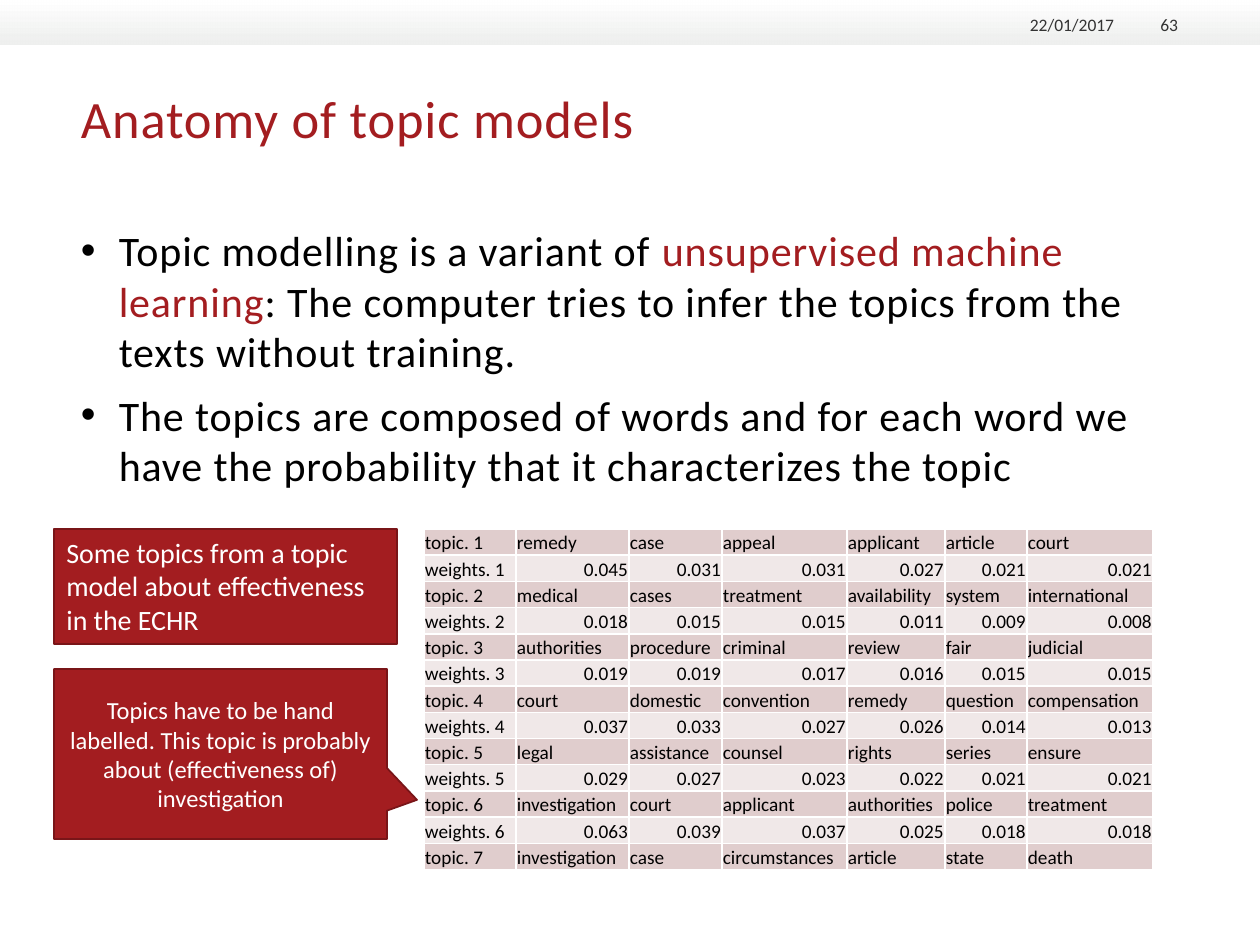
from lxml import etree
from pptx import Presentation, util as u
from pptx.dml.color import RGBColor
from pptx.enum import shapes, text
from pptx.oxml.ns import qn

FONT = "Calibri"
RED, DARK_RED, WHITE, BLACK, GREY = "A31D20", "791518", "FFFFFF", "000000", "333333"
TOPIC_FILL, WEIGHT_FILL = "E0CDCD", "F0E8E8"
LEFT, RIGHT = text.PP_ALIGN.LEFT, text.PP_ALIGN.RIGHT

COLUMNS = [92, 113, 93, 125, 98, 82, 126]
TOPICS = [
    ("remedy case appeal applicant article court",
     "0.045 0.031 0.031 0.027 0.021 0.021"),
    ("medical cases treatment availability system international",
     "0.018 0.015 0.015 0.011 0.009 0.008"),
    ("authorities procedure criminal review fair judicial",
     "0.019 0.019 0.017 0.016 0.015 0.015"),
    ("court domestic convention remedy question compensation",
     "0.037 0.033 0.027 0.026 0.014 0.013"),
    ("legal assistance counsel rights series ensure",
     "0.029 0.027 0.023 0.022 0.021 0.021"),
    ("investigation court applicant authorities police treatment",
     "0.063 0.039 0.037 0.025 0.018 0.018"),
    ("investigation case circumstances article state death", ""),
]
BULLETS = [
    [("Topic modelling is a variant of ", BLACK),
     ("unsupervised machine learning", RED),
     (": The computer tries to infer the topics from the texts without training.", BLACK)],
    [("The topics are composed of words and for each word we have the "
      "probability that it characterizes the topic", BLACK)],
]


def px(length):
    return u.Emu(round(length * 914400 / 126))


def color(value):
    return RGBColor.from_string(value)


def add_span(para, words, size, ink, spacing=0):
    """Append one run; spacing is in hundredths of a point."""
    span = para.add_run()
    span.text = words
    span.font.name = FONT
    span.font.size = u.Pt(size)
    span.font.color.rgb = color(ink)
    if spacing:
        span.font._element.set("spc", str(spacing))


def add_text_box(page, box, anchor=text.MSO_ANCHOR.TOP):
    """Add a wrapping text box without insets and return its frame."""
    frame = page.shapes.add_textbox(*map(px, box)).text_frame
    frame.word_wrap = True
    frame.vertical_anchor = anchor
    frame.margin_left = frame.margin_right = frame.margin_top = frame.margin_bottom = 0
    return frame


def add_top_band(page, box):
    """Gradient strip with the date and the page number near its right end."""
    left, top, width, height = box
    band = page.shapes.add_shape(shapes.MSO_SHAPE.RECTANGLE, *map(px, box))
    band.shadow.inherit = False
    band.line.fill.background()
    band.fill.gradient()
    band.fill.gradient_angle = 270
    for stop, shade in zip(band.fill.gradient_stops, (WHITE, "EEEFEE")):
        stop.color.rgb = color(shade)
    last_shade = band._element.xpath(".//a:gs[last()]/a:srgbClr")[0]
    etree.SubElement(last_shade, qn("a:alpha")).set("val", "93000")
    right = left + width
    for words, offset, size in (("22/01/2017", 258, 112), ("63", 134, 52)):
        frame = add_text_box(page, (right - offset, top + 11, size, 24),
                             text.MSO_ANCHOR.BOTTOM)
        frame.paragraphs[0].alignment = RIGHT
        add_span(frame.paragraphs[0], words, 10, GREY)


def add_title(page, box):
    para = add_text_box(page, box).paragraphs[0]
    add_span(para, "Anatomy of topic models", 30, RED, 50)


def add_bullets(page, box):
    frame = add_text_box(page, box)
    for index, spans in enumerate(BULLETS):
        para = frame.add_paragraph() if index else frame.paragraphs[0]
        properties = para._p.get_or_add_pPr()
        properties.set("marL", str(u.Inches(0.3)))
        properties.set("indent", str(-u.Inches(0.3)))
        etree.SubElement(properties, qn("a:buFont")).set("typeface", "Arial")
        etree.SubElement(properties, qn("a:buChar")).set("char", "•")
        if index:
            para.space_before = u.Pt(7.5)
        for words, ink in spans:
            add_span(para, words, 24, ink, 50)


def set_cell(cell, words, fill, align):
    properties = cell._tc.get_or_add_tcPr()
    for side in ("lnL", "lnR", "lnT", "lnB"):
        border = etree.SubElement(properties, qn(f"a:{side}"), w=str(u.Pt(1)))
        solid = etree.SubElement(border, qn("a:solidFill"))
        etree.SubElement(solid, qn("a:srgbClr")).set("val", WHITE)
    cell.fill.solid()
    cell.fill.fore_color.rgb = color(fill)
    cell.margin_left = cell.margin_right = cell.margin_top = px(1)
    cell.margin_bottom = 0
    cell.vertical_anchor = text.MSO_ANCHOR.BOTTOM
    para = cell.text_frame.paragraphs[0]
    para.alignment = align
    add_span(para, words, 11, BLACK)


def add_topic_table(page, box):
    """Table that alternates a row of words with a row of their weights."""
    rows = []
    for number, (words, weights) in enumerate(TOPICS, 1):
        rows.append((f"topic. {number}", words.split(), TOPIC_FILL, LEFT))
        if weights:
            rows.append((f"weights. {number}", weights.split(), WEIGHT_FILL, RIGHT))
    table = page.shapes.add_table(len(rows), len(COLUMNS), *map(px, box)).table
    table.first_row = table.horz_banding = False
    for column, width in zip(table.columns, COLUMNS):
        column.width = px(width)
    for row, (label, values, fill, align) in enumerate(rows):
        set_cell(table.cell(row, 0), label, fill, LEFT)
        for column, value in enumerate(values, 1):
            set_cell(table.cell(row, column), value, fill, align)


def add_note(page, box, kind, words, size, align, anchor):
    """Add a red shape holding white text and return it."""
    note = page.shapes.add_shape(kind, *map(px, box))
    note.shadow.inherit = False
    note.fill.solid()
    note.fill.fore_color.rgb = color(RED)
    note.line.color.rgb = color(DARK_RED)
    note.line.width = u.Pt(1)
    frame = note.text_frame
    frame.word_wrap = True
    frame.vertical_anchor = anchor
    frame.paragraphs[0].alignment = align
    add_span(frame.paragraphs[0], words, size, WHITE)
    return note


def add_notes(page, box):
    """Caption above a callout that points at the table."""
    left, top, width, height = box
    caption = add_note(
        page, (left, top, width, 115), shapes.MSO_SHAPE.RECTANGLE,
        "Some topics from a topic model about effectiveness in the ECHR",
        16, LEFT, text.MSO_ANCHOR.TOP)
    caption.text_frame.auto_size = text.MSO_AUTO_SIZE.SHAPE_TO_FIT_TEXT
    callout = add_note(
        page, (left, top + height - 170, width - 10, 170),
        shapes.MSO_SHAPE.RECTANGULAR_CALLOUT,
        "Topics have to be hand labelled. This topic is probably about "
        "(effectiveness of) investigation",
        14, text.PP_ALIGN.CENTER, text.MSO_ANCHOR.MIDDLE)
    callout.adjustments[0] = 0.59
    callout.adjustments[1] = 0.27


def main():
    deck = Presentation()
    deck.slide_width, deck.slide_height = px(1260), px(945)
    page = deck.slides.add_slide(deck.slide_layouts[6])
    add_top_band(page, (0, 0, 1260, 45))
    add_title(page, (81, 86, 1097, 120))
    add_bullets(page, (81, 225, 1097, 644))
    add_topic_table(page, (424, 529, sum(COLUMNS), 341))
    add_notes(page, (54, 529, 343, 310))
    deck.save("out.pptx")


if __name__ == "__main__":
    main()
